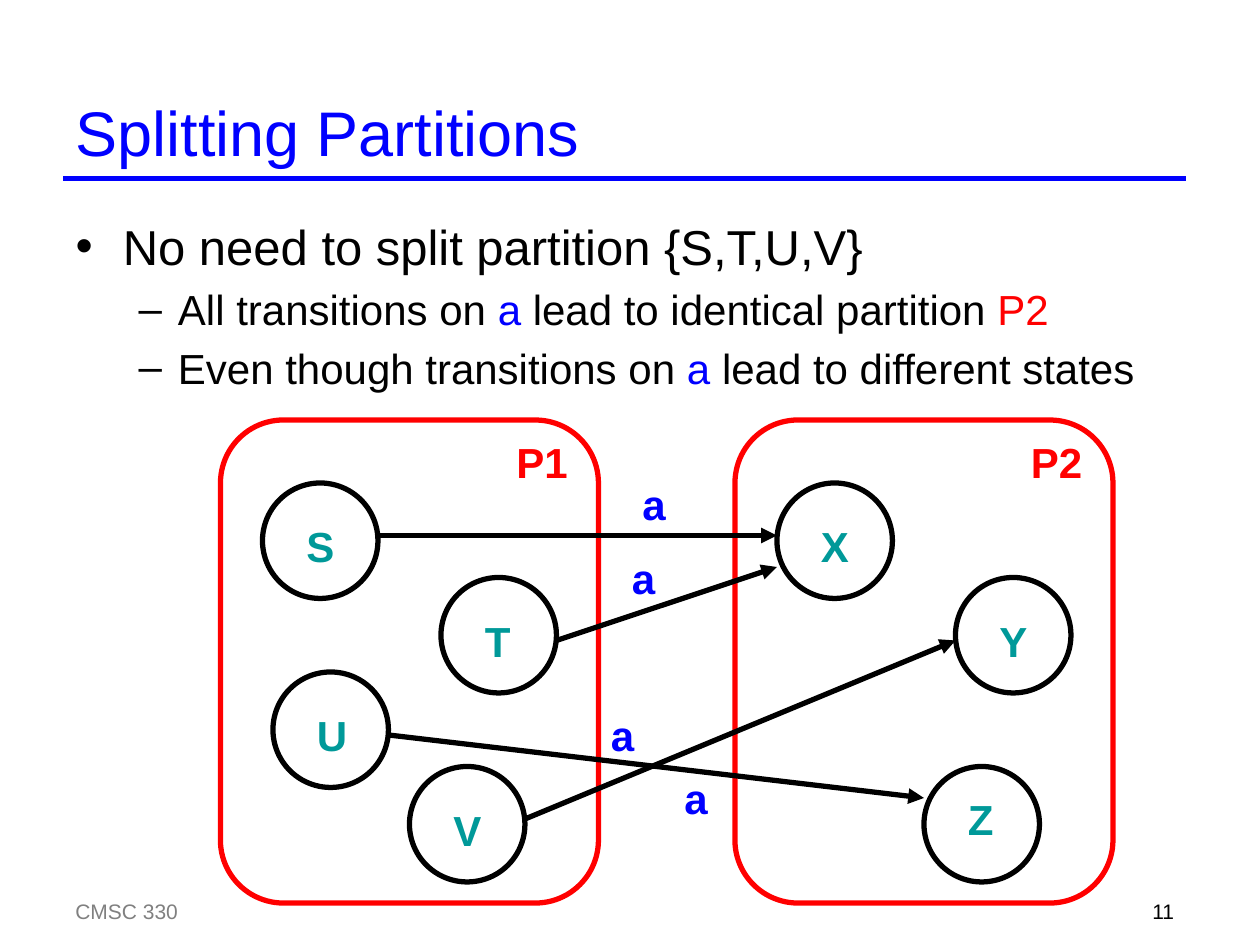
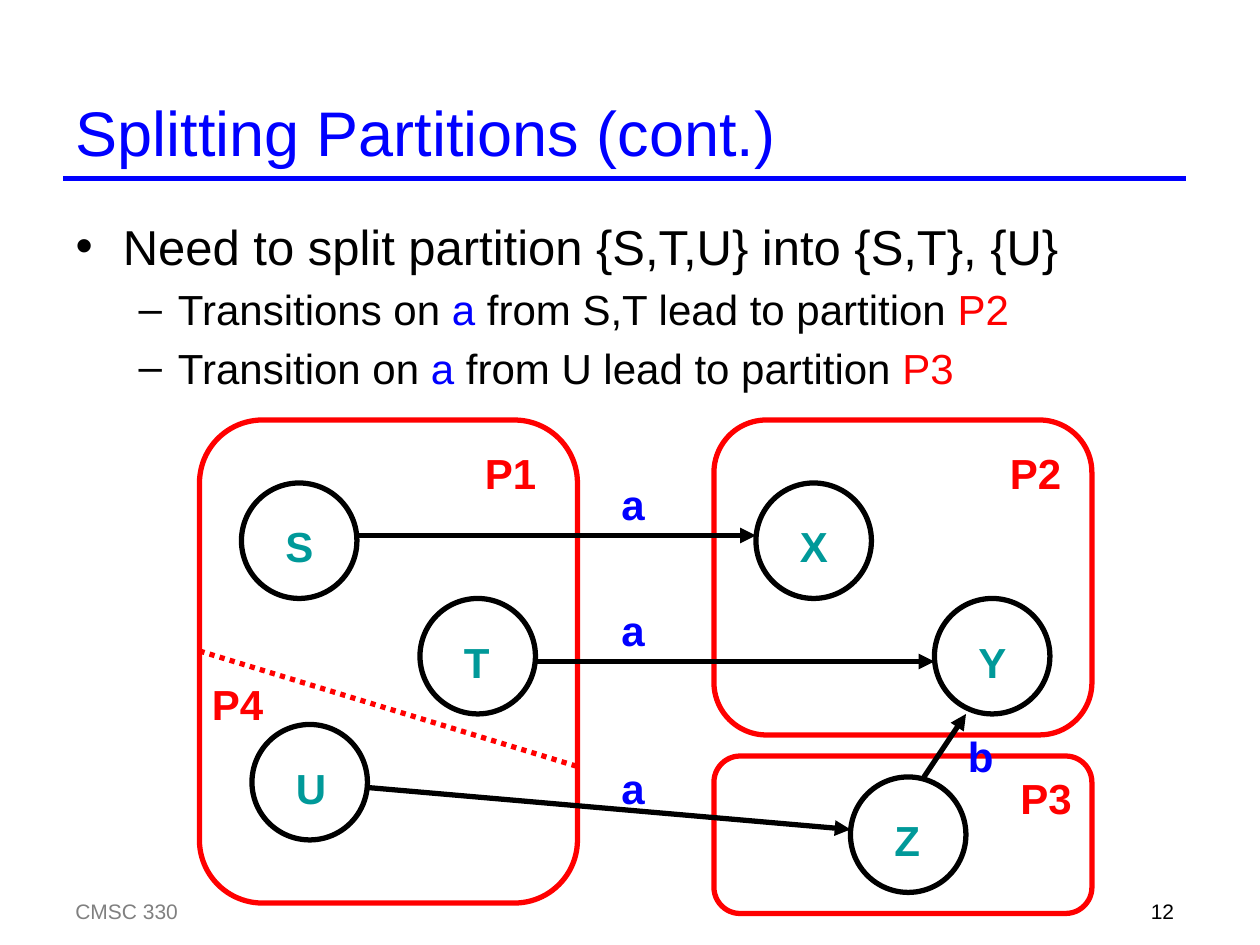
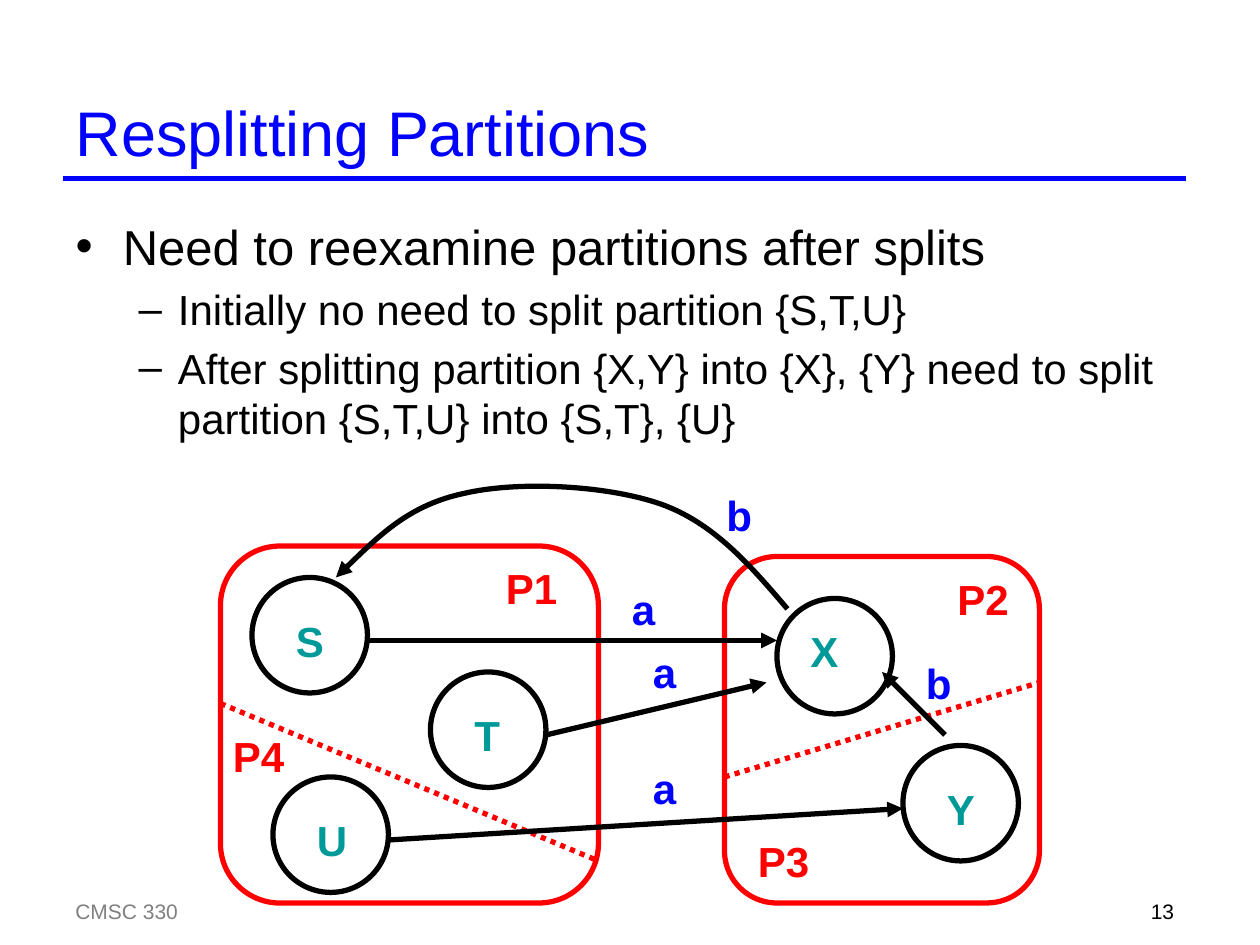
from lxml import etree
from pptx import Presentation
from pptx.dml.color import RGBColor
from pptx.enum.dml import MSO_LINE
from pptx.enum.shapes import MSO_CONNECTOR, MSO_SHAPE
from pptx.enum.text import MSO_AUTO_SIZE, PP_ALIGN
from pptx.oxml.ns import qn
from pptx.util import Inches, Pt

LEFT, RIGHT = PP_ALIGN.LEFT, PP_ALIGN.RIGHT
NO_FIT, GROW = MSO_AUTO_SIZE.NONE, MSO_AUTO_SIZE.SHAPE_TO_FIT_TEXT
STRAIGHT, DOTTED = MSO_CONNECTOR.STRAIGHT, MSO_LINE.ROUND_DOT
ELLIPSE, ROUNDED = MSO_SHAPE.OVAL, MSO_SHAPE.ROUNDED_RECTANGLE

BLACK, BLUE, RED, TEAL, GRAY = "000000", "0000FF", "FF0000", "009999", "808080"
FONT = "Arial"
COLS, ROWS = 120, 90          # square grid, twelve cells to the inch
NODE = 11                     # circle diameter in cells

prs = Presentation()
prs.slide_width, prs.slide_height = Inches(10), Inches(7.5)
CELL = prs.slide_width / COLS


def cells(*values):
    return [round(v * CELL) for v in values]


def rgb(color):
    return RGBColor.from_string(color)


def write(p, text, size=24, color=BLACK, bold=False, align=None):
    r = p.add_run()
    r.text = text
    r.font.name, r.font.size, r.font.bold = FONT, Pt(size), bold
    r.font.color.rgb = rgb(color)
    if align is not None:
        p.alignment = align


def add_arrowhead(sp):
    etree.SubElement(sp.line._get_or_add_ln(), qn("a:tailEnd"), type="triangle")


class Deck:
    """Holds the style and the current slide; lengths are grid cells."""

    def __init__(self):
        self.layout = prs.slide_layouts[1]
        self.slide = None

    def new_slide(self, title, items, number):
        first = self.slide is None
        self.slide = prs.slides.add_slide(self.layout)
        if first:
            self.title_rule()
        heading, body = self.slide.placeholders
        self.place(heading, 6, 8, 107, 9)
        write(heading.text_frame.paragraphs[0], title, size=36, color=BLUE, align=LEFT)
        self.place(body, 6, 20, 112, 64)
        self.bullets(body.text_frame, items)
        self.text("CMSC 330", 6, 85, 73, 3, size=12, color=GRAY)
        self.text(str(number), 88, 85, 25, 3, size=12, align=RIGHT)

    def title_rule(self):
        """Put the rule under the title on the layout, so all slides share it."""
        rule = self.line(6, 17, 113, 17, color=BLUE).element
        rule.nvCxnSpPr.cNvPr.id = 99
        self.layout.shapes.element.append(rule)

    def place(self, sp, *box):
        sp.left, sp.top, sp.width, sp.height = cells(*box)
        sp.text_frame.auto_size = NO_FIT

    def bullets(self, tf, items):
        """The first item is the main point; pieces between bars are coloured."""
        for i, item in enumerate(items):
            p = tf.add_paragraph() if i else tf.paragraphs[0]
            p.level = min(i, 1)
            for j, piece in enumerate(item.split("|")):
                if piece:
                    accent = RED if piece.startswith("P") else BLUE
                    write(p, piece, size=24 if i else 28, color=accent if j % 2 else BLACK)

    def text(self, text, x, y, w, h, **style):
        sp = self.slide.shapes.add_textbox(*cells(x, y, w, h))
        sp.text_frame.word_wrap = True
        write(sp.text_frame.paragraphs[0], text, **style)
        return sp

    def label(self, text, x, y, color, width=8):
        tf = self.text(text, x, y, width, 6, color=color, bold=True).text_frame
        tf.auto_size = GROW
        space = etree.SubElement(tf.paragraphs[0]._p.get_or_add_pPr(), qn("a:spcBef"))
        etree.SubElement(space, qn("a:spcPct"), val="50000")

    def outline(self, sp, color):
        sp.shadow.inherit = False
        sp.fill.background()
        sp.line.color.rgb, sp.line.width = rgb(color), Pt(3)
        return sp

    def node(self, name, x, y, dx=3, dy=3):
        box = cells(x, y, NODE, NODE)
        self.outline(self.slide.shapes.add_shape(ELLIPSE, *box), BLACK)
        self.label(name, x + dx, y + dy, TEAL)

    def partition(self, name, x, y, w, h, label_x, label_y):
        sp = self.slide.shapes.add_shape(ROUNDED, *cells(x, y, w, h))
        sp.adjustments[0] = 1 / 6
        self.outline(sp, RED)
        self.label(name, label_x, label_y, RED)

    def line(self, x1, y1, x2, y2, color=BLACK):
        sp = self.slide.shapes.add_connector(STRAIGHT, *cells(x1, y1, x2, y2))
        sp.line.color.rgb, sp.line.width = rgb(color), Pt(3)
        etree.SubElement(sp.element.spPr, qn("a:effectLst"))
        return sp

    def split(self, name, x1, y1, x2, y2, label_x, label_y):
        self.line(x1, y1, x2, y2, RED).line.dash_style = DOTTED
        self.label(name, label_x, label_y, RED)

    def arrow(self, symbol, x1, y1, x2, y2, label_x, label_y):
        add_arrowhead(self.line(x1, y1, x2, y2))
        self.label(symbol, label_x, label_y, BLUE, width=6)

    def curved_arrow(self, symbol, points, label_x, label_y):
        start, *rest = [cells(*pt) for pt in points]
        builder = self.slide.shapes.build_freeform(*start)
        builder.add_line_segments(rest, close=False)
        sp = self.outline(builder.convert_to_shape(), BLACK)
        # Each three line ends become the control points of one Bezier piece
        ends = list(sp.element.iter(qn("a:lnTo")))
        for i in range(0, len(ends), 3):
            curve = etree.SubElement(ends[i].getparent(), qn("a:cubicBezTo"))
            for end in ends[i:i + 3]:
                curve.append(end[0])
                end.getparent().remove(end)
        add_arrowhead(sp)
        self.label(symbol, label_x, label_y, BLUE, width=6)

    def diagram(self, partitions, nodes, arrows, splits=()):
        for draw, rows in ((self.partition, partitions), (self.node, nodes),
                           (self.split, splits), (self.arrow, arrows)):
            for row in rows:
                draw(*row)


deck = Deck()

# Slide 11: no split needed
deck.new_slide("Splitting Partitions", [
    "No need to split partition {S,T,U,V}",
    "All transitions on |a| lead to identical partition |P2",
    "Even though transitions on |a| lead to different states"], 11)
deck.diagram(
    partitions=[("P1", 21, 40, 36, 46, 48, 41), ("P2", 70, 40, 36, 46, 97, 41)],
    nodes=[("S", 25, 46), ("T", 42, 55), ("U", 26, 64), ("V", 39, 73),
           ("X", 74, 46), ("Y", 91, 55), ("Z", 88, 73, 3, 2)],
    arrows=[("a", 36, 51, 74, 51, 60, 45), ("a", 53, 61, 74, 54, 59, 52),
            ("a", 37, 70, 88, 76, 57, 67), ("a", 50, 78, 91, 61, 64, 73)])

# Slide 12: one split
deck.new_slide("Splitting Partitions (cont.)", [
    "Need to split partition {S,T,U} into {S,T}, {U}",
    "Transitions on |a| from S,T lead to partition |P2",
    "Transition on |a| from U lead to partition |P3"], 12)
deck.diagram(
    partitions=[("P1", 19, 40, 36, 46, 45, 42), ("P2", 68, 40, 36, 30, 95, 42),
                ("P3", 68, 72, 36, 15, 96, 73)],
    nodes=[("S", 23, 46), ("T", 40, 57), ("U", 24, 69),
           ("X", 72, 46), ("Y", 89, 57), ("Z", 81, 74)],
    arrows=[("a", 34, 51, 72, 51, 58, 45), ("a", 51, 63, 89, 63, 58, 57),
            ("a", 35, 75, 81, 79, 58, 72), ("b", 88, 74, 92, 68, 91, 69)],
    splits=[("P4", 19, 62, 55, 73, 19, 64)])

# Slide 13: a split that causes another
deck.new_slide("Resplitting Partitions", [
    "Need to reexamine partitions after splits",
    "Initially no need to split partition {S,T,U}",
    "After splitting partition {X,Y} into {X}, {Y} need to split "
    "partition {S,T,U} into {S,T}, {U}"], 13)
deck.diagram(
    partitions=[("P1", 21, 52, 36, 34, 47, 53), ("P2", 69, 53, 30, 33, 90, 54)],
    nodes=[("S", 24, 55), ("T", 41, 64), ("U", 26, 74),
           ("X", 74, 57, 2, 2), ("Y", 86, 71)],
    arrows=[("a", 35, 61, 74, 61, 59, 55), ("a", 52, 70, 73, 65, 61, 61),
            ("a", 37, 80, 86, 77, 61, 72), ("b", 90, 70, 84, 64, 87, 62)],
    splits=[("P3", 69, 74, 99, 65, 71, 79), ("P4", 21, 67, 57, 82, 21, 69)])
deck.curved_arrow("b", [
    (75, 58), (71.5, 53.9), (68, 49.8), (62.9, 48), (57.7, 46.2), (49.3, 45.8),
    (44.2, 47), (39, 48.1), (35.5, 51.6), (32, 55)], 68, 46)

prs.save("out.pptx")
